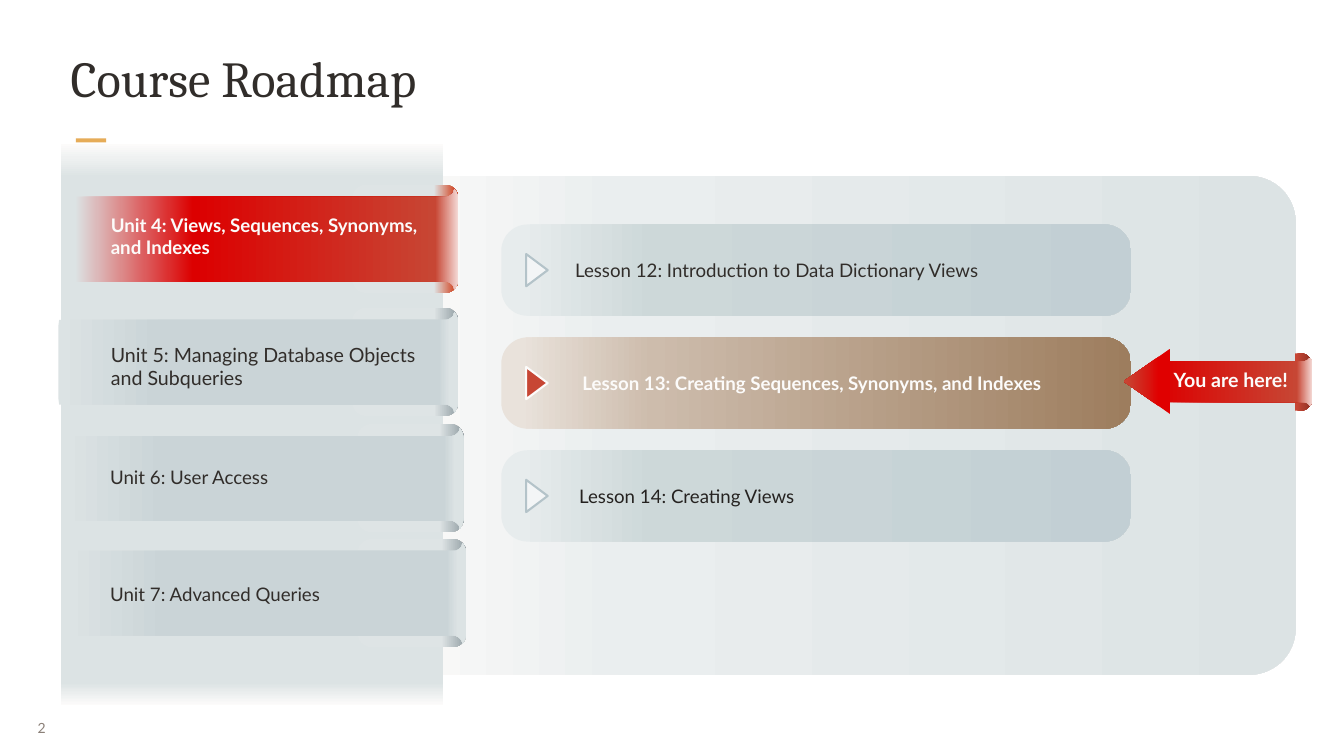
from dataclasses import dataclass

from lxml import etree
from pptx import Presentation
from pptx.dml.color import RGBColor
from pptx.enum import shapes, text
from pptx.oxml import ns
from pptx.util import Inches, Pt


@dataclass(frozen=True)
class Theme:
    heading: str = "Cambria"
    body: str = "Lato"
    title_size: float = 54
    text_size: float = 20
    callout_size: float = 21
    number_size: float = 15
    ink: str = "312D2A"
    dark_ink: str = "252220"
    light: str = "FCFBFA"
    muted: str = "8B8078"
    gold: str = "E6AC58"
    red: str = "C74634"
    pale: str = "F3F5F6"
    mist: str = "B4C3C9"
    # Gradients: (position in percent, colour)
    panel: tuple = ((0, "FCFBFA"), (26, "EAEEEF"), (100, "DCE3E4"))
    sidebar: tuple = ((0, "FCFBFA"), (6, "DCE3E4"), (96, "DCE3E4"), (100, "FCFBFA"))
    lesson: tuple = ((3, "E7ECED"), (24, "CDD8D9"), (100, "C2CFD4"))
    active_lesson: tuple = ((3, "E9E2DB"), (24, "CDBCAC"), (100, "9D7D5E"))
    unit: tuple = ((0, "DCE3E4"), (25, "CAD4D7"), (95, "CAD4D7"), (98, "DCE3E4"))
    active_unit: tuple = ((0, "DCE3E4"), (31, "DC0000"), (94, "C74634"), (100, "F4DAD6"))
    curl: tuple = ((77, "DEE4E5"), (99, "96A2A7"))
    active_curl: tuple = ((77, "DEE4E5"), (99, "D1350F"))
    arrow_curl: tuple = ((11, "C74634"), (92, "953427"))
    arrow_body: tuple = ((0, "DC0000"), (90, "C74634"), (100, "F4DAD6"))
    arrow_head: tuple = ((0, "E00000"), (23, "E00000"), (96, "C74634"))


THEME = Theme()
SHAPE = shapes.MSO_SHAPE


def paint(shape, fill, angle=0, line=None):
    """Fill with one colour or a tuple of gradient stops; angle runs clockwise."""
    shape.shadow.inherit = False
    if isinstance(fill, str):
        shape.fill.solid()
        shape.fill.fore_color.rgb = RGBColor.from_string(fill)
    else:
        shape.fill.gradient()
        shape.fill.gradient_angle = -angle % 360
        stops = shape._element.spPr.find(ns.qn("a:gradFill")).find(ns.qn("a:gsLst"))
        for old_stop in list(stops):
            stops.remove(old_stop)
        for position, colour in fill:
            stop = etree.SubElement(stops, ns.qn("a:gs"), pos=str(position * 1000))
            etree.SubElement(stop, ns.qn("a:srgbClr"), val=colour)
    if line:
        shape.line.color.rgb = RGBColor.from_string(line)
        shape.line.width = Pt(2.25)
    else:
        shape.line.fill.background()


def add_block(slide, kind, box, fill, angle=0, line=None, corner=None, rotation=0):
    block = slide.shapes.add_shape(kind, *map(Inches, box))
    if corner is not None:
        block.adjustments[0] = corner
    block.rotation = rotation
    paint(block, fill, angle, line)


def add_outline(slide, points, fill):
    points = [(Inches(x), Inches(y)) for x, y in points]
    builder = slide.shapes.build_freeform(*points[0])
    builder.add_line_segments(points[1:], close=True)
    paint(builder.convert_to_shape(), fill)


def curve(p0, p1, p2, p3, steps=8):
    """Points along a cubic Bezier curve."""
    weights = [((1 - t) ** 3, 3 * t * (1 - t) ** 2, 3 * t * t * (1 - t), t ** 3)
               for t in (i / steps for i in range(steps + 1))]
    return [tuple(sum(w * p[axis] for w, p in zip(ws, (p0, p1, p2, p3)))
                  for axis in (0, 1)) for ws in weights]


def mirrored(upper, top, height):
    """Close an upper outline with its reflection below."""
    return upper + [(x, 2 * top + height - y) for x, y in reversed(upper)]


def add_ribbon(slide, left, top, width, height, fill, curl=(1, 1)):
    """Band whose right end flares out at the top and bottom."""
    def at(dx, dy):
        return left + width + dx * curl[0], top + dy * curl[1]

    upper = [(left, at(0, 0.2)[1]), (left + 0.01, at(0, 0.12)[1])]
    upper += curve(at(-0.19, 0.12), at(-0.14, 0.12), at(-0.1, 0.09), at(-0.07, 0.05))
    upper += curve(at(-0.06, 0), at(-0.02, 0.05), at(0, 0.12), at(0, 0.2))
    add_outline(slide, mirrored(upper, top, height), fill)


def style(frame, wording, size, colour, bold=False, font=THEME.body, align=None):
    frame.text = wording
    paragraph = frame.paragraphs[0]
    paragraph.alignment = align
    paragraph.font.name = font
    paragraph.font.size = Pt(size)
    paragraph.font.bold = bold
    paragraph.font.color.rgb = RGBColor.from_string(colour)


def set_margins(frame, across, down):
    frame.margin_left = frame.margin_right = Inches(across)
    frame.margin_top = frame.margin_bottom = Inches(down)


def add_label(slide, box, wording, size=THEME.text_size, colour=THEME.ink, bold=False,
              anchor=text.MSO_ANCHOR.MIDDLE, align=None, wrap=True, margins=(0.1, 0.05)):
    frame = slide.shapes.add_textbox(*map(Inches, box)).text_frame
    frame.word_wrap = wrap
    frame.vertical_anchor = anchor
    set_margins(frame, *margins)
    style(frame, wording, size, colour, bold, align=align)


def add_title(slide, wording):
    title = slide.shapes.title
    title.left, title.top, title.width, title.height = map(Inches, (1.02, 0.67, 17.96, 1.28))
    frame = title.text_frame
    frame.vertical_anchor = text.MSO_ANCHOR.TOP
    set_margins(frame, 0.03, 0.03)
    style(frame, wording, THEME.title_size, THEME.ink, font=THEME.heading,
          align=text.PP_ALIGN.LEFT)


def add_lesson(slide, row, wording, text_left, colour, active=False):
    top = 3.34 + 1.68 * row
    add_block(slide, SHAPE.ROUNDED_RECTANGLE, (7.46, top, 9.37, 1.36),
              THEME.active_lesson if active else THEME.lesson, corner=0.289)
    add_block(slide, SHAPE.ISOSCELES_TRIANGLE, (7.75, top + 0.52, 0.48, 0.32),
              THEME.red if active else THEME.pale, rotation=90,
              line=THEME.light if active else THEME.mist)
    add_label(slide, (text_left, top + 0.46, 7.1, 0.44), wording, colour=colour, bold=active)


def add_unit(slide, top, left, right, curl_left, active=False):
    add_block(slide, SHAPE.ROUNDED_RECTANGLE, (curl_left, top - 0.06, right - curl_left, 1.61),
              THEME.active_curl if active else THEME.curl, corner=0.126)
    add_ribbon(slide, left, top, right - left, 1.5,
               THEME.active_unit if active else THEME.unit)


def add_here_arrow(slide, wording):
    top, height = 5.26, 0.85
    upper = [(19.27, top)] + curve((19.37, top), (19.44, top), (19.51, 5.32), (19.51, 5.4))
    add_outline(slide, mirrored(upper, top, height), THEME.arrow_curl)
    add_ribbon(slide, 17.22, 5.32, 2.31, 0.72, THEME.arrow_body, curl=(0.75, 0.48))
    add_block(slide, SHAPE.ISOSCELES_TRIANGLE, (16.58, 5.33, 0.97, 0.69),
              THEME.arrow_head, angle=270, rotation=270)
    add_label(slide, (17.23, 5.43, 2.17, 0.45), wording, THEME.callout_size, THEME.light,
              bold=True, anchor=text.MSO_ANCHOR.TOP, align=text.PP_ALIGN.CENTER)


def main():
    deck = Presentation()
    deck.slide_width, deck.slide_height = Inches(20), Inches(11.25)
    slide = deck.slides.add_slide(deck.slide_layouts[5])

    # Title, accent and page number
    add_title(slide, "Course Roadmap")
    add_block(slide, SHAPE.RECTANGLE, (1.13, 2.06, 0.45, 0.06), THEME.gold)
    add_label(slide, (0.43, 10.54, 0.65, 0.58), "2", THEME.number_size, THEME.muted,
              align=text.PP_ALIGN.JUSTIFY, wrap=False, margins=(0.13, 0.07))

    # Background panels
    add_block(slide, SHAPE.ROUNDED_RECTANGLE, (5.66, 2.62, 13.62, 7.42), THEME.panel,
              corner=0.093)
    add_block(slide, SHAPE.RECTANGLE, (0.91, 2.14, 5.69, 8.35), THEME.sidebar, angle=90)

    # Lessons of the current unit
    add_lesson(slide, 0, "Lesson 12: Introduction to Data Dictionary Views", 8.46, THEME.ink)
    add_lesson(slide, 1, "Lesson 13: Creating Sequences, Synonyms, and Indexes", 8.57,
               THEME.light, active=True)
    add_lesson(slide, 2, "Lesson 14: Creating Views", 8.52, THEME.dark_ink)
    add_here_arrow(slide, "You are here!")

    # Units
    add_unit(slide, 2.81, 1.11, 6.82, 5.24, active=True)
    add_label(slide, (1.55, 3.13, 4.81, 0.77),
              "Unit 4: Views, Sequences, Synonyms, and Indexes", colour=THEME.light, bold=True)
    add_unit(slide, 4.64, 0.87, 6.82, 5.24)
    add_label(slide, (1.5, 5.03, 4.89, 0.71),
              "Unit 5: Managing Database Objects and Subqueries", THEME.callout_size,
              anchor=text.MSO_ANCHOR.TOP, margins=(0.15, 0.07))
    add_unit(slide, 6.37, 0.95, 6.9, 5.32)
    add_label(slide, (1.54, 6.88, 3.63, 0.44), "Unit 6: User Access")
    add_unit(slide, 8.08, 0.99, 6.94, 5.32)
    add_label(slide, (1.54, 8.62, 3.63, 0.44), "Unit 7: Advanced Queries")

    deck.save("out.pptx")


if __name__ == "__main__":
    main()
